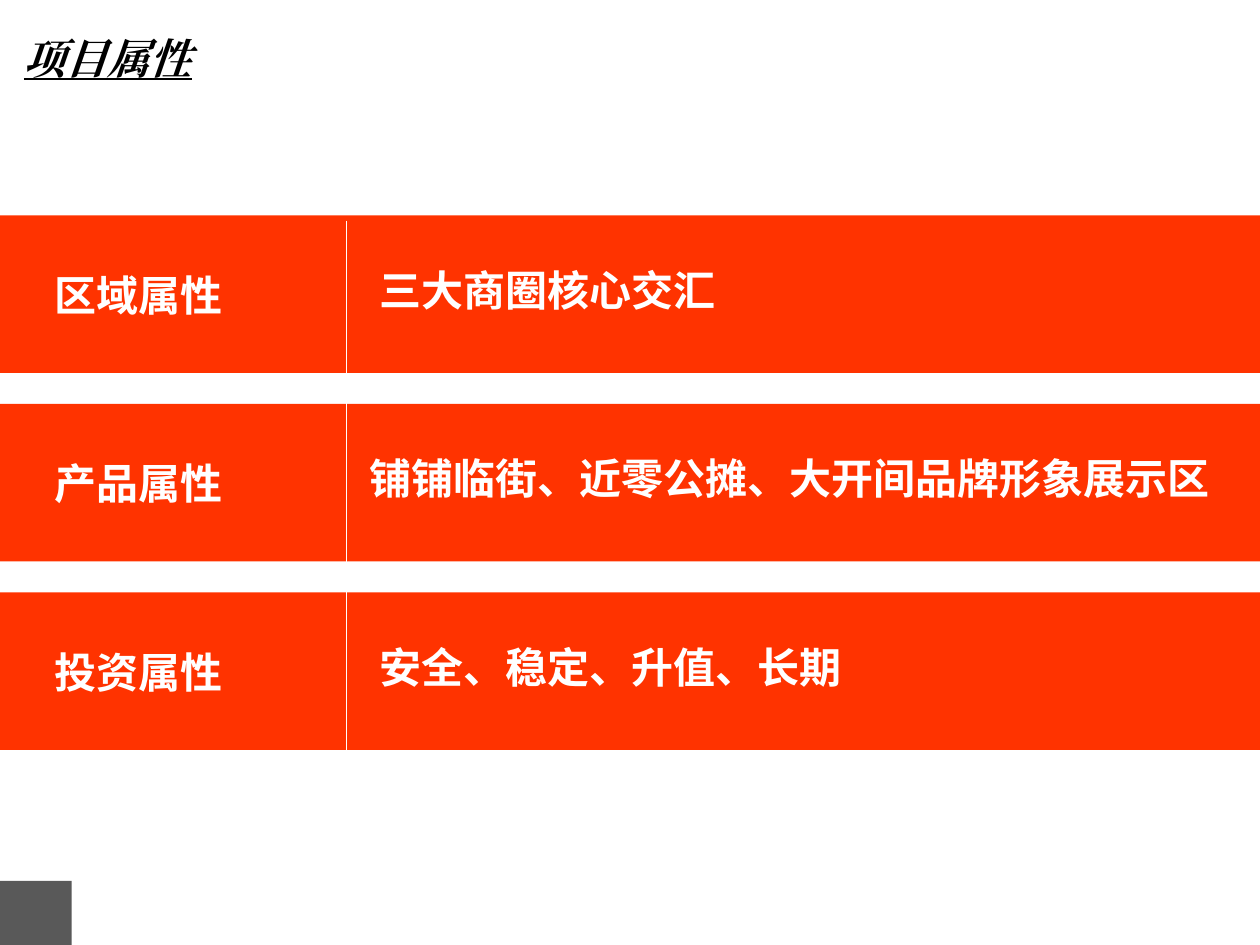
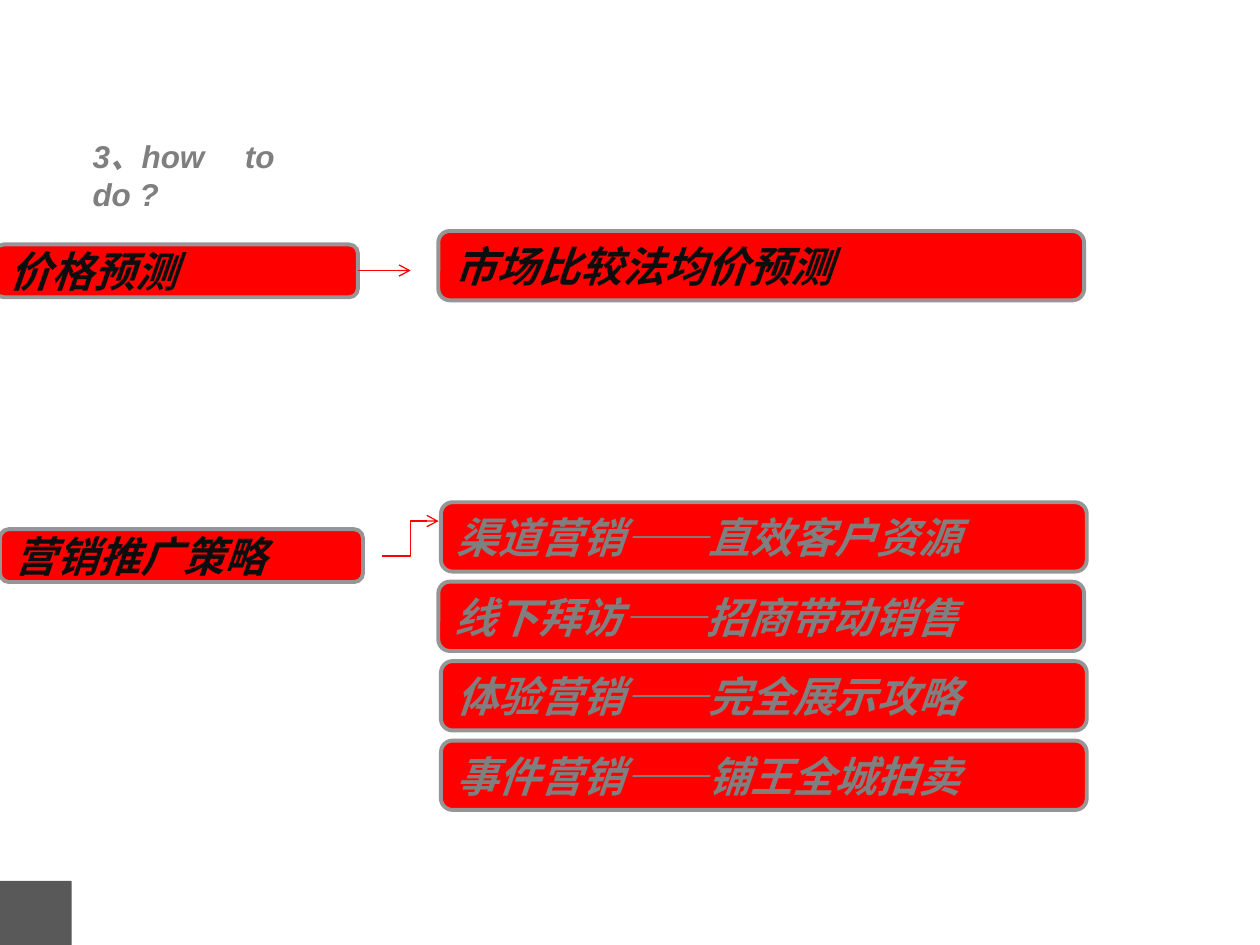
"""Build two slides: project attributes and the how-to-do plan."""
from pptx import Presentation
from pptx.dml.color import RGBColor
from pptx.enum.shapes import MSO_CONNECTOR, MSO_SHAPE
from pptx.enum.text import MSO_ANCHOR
from pptx.oxml.ns import qn
from pptx.util import Pt
from lxml.etree import SubElement

HUES = {"band": "FF3300", "red": "FF0000", "edge": "969696", "foot": "595959",
        "white": "FFFFFF", "black": "000000", "ink": "0D0D0D", "gray": "7F7F7F"}
SANS, SERIF, LATIN = "Noto Sans CJK SC", "Times New Roman", "Arial"

TITLE = "项目属性"
ROWS = [("区域属性", "三大商圈核心交汇", 210),
        ("产品属性", "铺铺临街、近零公摊、大开间品牌形象展示区", 204),
        ("投资属性", "安全、稳定、升值、长期", 210)]
TOP, STEP, TALL, WIDE = 123.1, 107.7, 90, 720

HEAD = "3、how\tto\vdo ?"
STEPS = [("价格预测", -2.9, 139.7), ("营销推广策略", 0, 302.4)]
GOAL = "市场比较法均价预测"
PLANS = [("渠道营销——直效客户资源", 252), ("线下拜访——招商带动销售", 250.5),
         ("体验营销——完全展示攻略", 252), ("事件营销——铺王全城拍卖", 252)]
FIRST, PITCH = 287, 45.4
ARROWS = [(MSO_CONNECTOR.STRAIGHT, 204.5, 154.6, 234.7, 154.6),
          (MSO_CONNECTOR.ELBOW, 218.2, 317.7, 250.6, 297.8)]


def hue(name):
    return RGBColor.from_string(HUES[name])


def write(shape, text, color, size=24, face=SANS, slant=False, under=False, tab=None):
    frame = shape.text_frame
    frame.word_wrap = True
    para = frame.paragraphs[0]
    para.text = text
    if tab:
        stops = SubElement(para._p.get_or_add_pPr(), qn("a:tabLst"))
        SubElement(stops, qn("a:tab"), pos=str(Pt(tab)), algn="l")
    para.line_spacing = 1.0
    for run in para.runs:
        font = run.font
        font.size, font.name, font.bold = Pt(size), face, True
        font.italic, font.underline = slant, under
        font.color.rgb = hue(color)
        SubElement(run._r.get_or_add_rPr(), qn("a:ea"), typeface=face)
    return para


def label(slide, text, x, y, w, h, color, **style):
    box = slide.shapes.add_textbox(Pt(x), Pt(y), Pt(w), Pt(h))
    return write(box, text, color, **style)


def block(slide, kind, x, y, w, h, fill, edge=None):
    shape = slide.shapes.add_shape(kind, Pt(x), Pt(y), Pt(w), Pt(h))
    shape.shadow.inherit = False
    shape.fill.solid()
    shape.fill.fore_color.rgb = hue(fill)
    if edge:
        shape.line.color.rgb = hue(edge)
        shape.line.width = Pt(2.25)
    else:
        shape.line.fill.background()
    return shape


def pill(slide, text, x, y, w, h, color):
    shape = block(slide, MSO_SHAPE.ROUNDED_RECTANGLE, x, y, w, h, "red", "edge")
    shape.text_frame.vertical_anchor = MSO_ANCHOR.MIDDLE
    write(shape, text, color, slant=True).alignment = 1


def link(slide, kind, x1, y1, x2, y2, color, arrow=False):
    line = slide.shapes.add_connector(kind, Pt(x1), Pt(y1), Pt(x2), Pt(y2))
    line.line.color.rgb = hue(color)
    line.line.width = Pt(0.75)
    if arrow:
        SubElement(line.line._get_or_add_ln(), qn("a:tailEnd"), type="arrow")
    SubElement(line._element.spPr, qn("a:effectLst"))


def start(deck):
    slide = deck.slides.add_slide(deck.slide_layouts[6])
    block(slide, MSO_SHAPE.RECTANGLE, 0, 503.3, 41, 36.7, "foot")
    return slide


def traits(deck):
    slide = start(deck)
    label(slide, TITLE, 6.5, 15.1, WIDE - 6.5, 36, "black", face=SERIF, slant=True, under=True)
    for i, (name, text, x) in enumerate(ROWS):
        y = TOP + i * STEP
        block(slide, MSO_SHAPE.RECTANGLE, 0, y, WIDE, TALL, "band")
        label(slide, name, 24, y + 24.5, 162, 39, "white").line_spacing = 1.1
        label(slide, text, x, y + 24.5, 510, 36, "white")
    link(slide, MSO_CONNECTOR.STRAIGHT, 198, 126, 198, 456, "white")


def plan(deck):
    slide = start(deck)
    label(slide, HEAD, 45.8, 75, 162, 50, "gray", size=18, face=LATIN, slant=True, tab=87)
    for text, x, y in STEPS:
        pill(slide, text, x, y, 207.4, 30.2, "ink")
    pill(slide, GOAL, 250.5, 132, 369, 39.6, "ink")
    for i, (text, x) in enumerate(PLANS):
        pill(slide, text, x, FIRST + i * PITCH, 369, 39.6, "gray")
    for arrow in ARROWS:
        link(slide, *arrow, "red", arrow=True)


def main():
    deck = Presentation()
    deck.slide_width, deck.slide_height = Pt(WIDE), Pt(540)
    traits(deck)
    plan(deck)
    deck.save("out.pptx")


if __name__ == "__main__":
    main()
